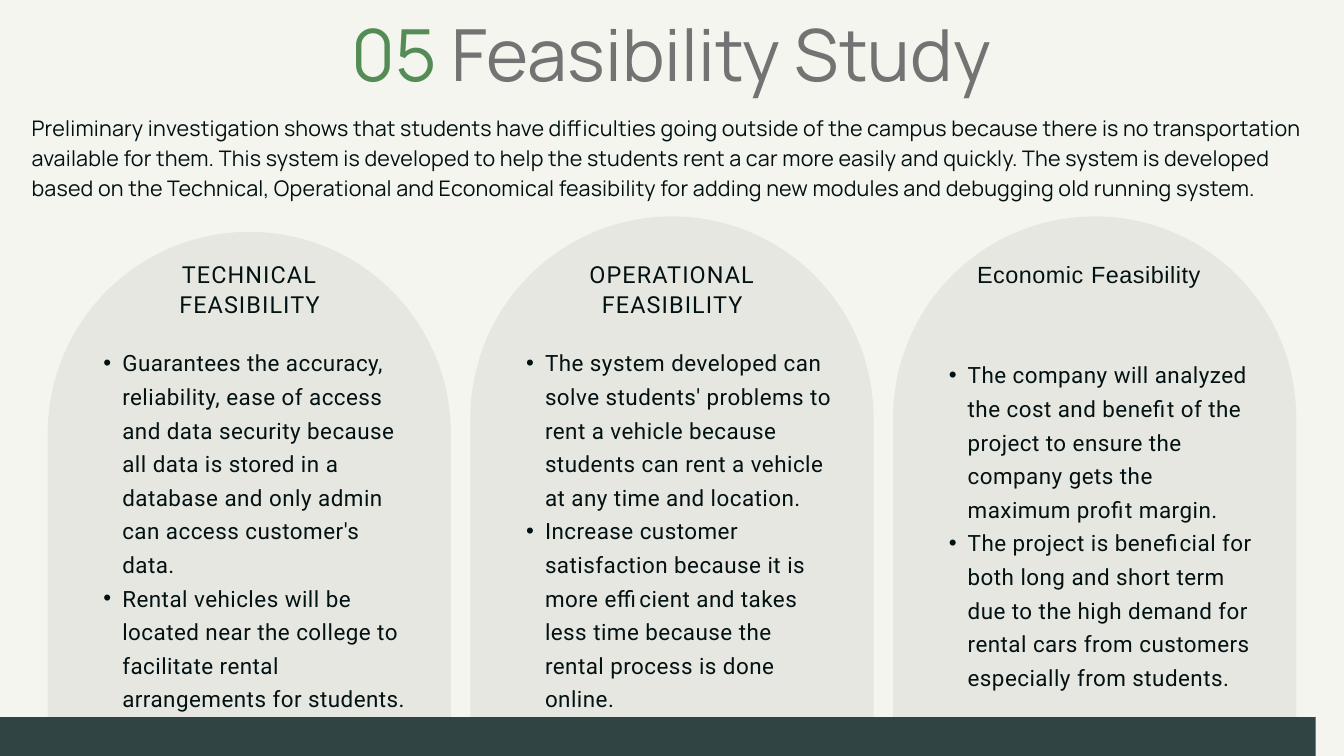
from dataclasses import dataclass

import pptx
import pptx.dml.color
import pptx.enum.shapes
import pptx.enum.text
import pptx.oxml.ns
import pptx.oxml.xmlchemy
import pptx.util

Inches = pptx.util.Inches
Pt = pptx.util.Pt
ALIGN = pptx.enum.text.PP_ALIGN
SHAPE = pptx.enum.shapes.MSO_SHAPE

INK, GREEN, GRAY = "021112", "548C55", "737373"
PAPER, BAR = "F5F5EF", "304543"
COLUMN_LEFT, COLUMN_STEP = 0.71, 6.29
ARCH_WIDTH, ARCH_HEIGHT = 6, 8.6


@dataclass
class TextStyle:
    size: float
    line: float
    spacing: float = 0
    font: str = "Roboto"
    color: str = INK
    align: ALIGN = ALIGN.LEFT


@dataclass
class Column:
    heading: str
    heading_style: TextStyle
    heading_left: float
    arch_top: float
    list_top: float
    list_height: float
    placeholder: int
    items: list[str]


TITLE = TextStyle(77, 80.9, font="Manrope", color=GRAY, align=ALIGN.CENTER)
INTRO = TextStyle(23, 32.2, 0.2, "Manrope")
LIST = TextStyle(24, 36, 0.5)
HEADING = TextStyle(25.1, 32.6, 1.2, align=ALIGN.CENTER)
ARIAL_HEADING = TextStyle(25.1, 32.6, 0.6, "Arial", align=ALIGN.CENTER)

INTRO_TEXT = (
    "Preliminary investigation shows that students have difficulties going outside of the "
    "campus because there is no transportation available for them. This system is developed "
    "to help the students rent a car more easily and quickly. The system is developed based "
    "on the Technical, Operational and Economical feasibility for adding new modules and "
    "debugging old running system."
)
COLUMNS = [
    Column("TECHNICAL FEASIBILITY", HEADING, 1.88, 3.45, 5.1, 5.33, 2, [
        "Guarantees the accuracy, reliability, ease of access and data security because all "
        "data is stored in a database and only admin can access customer's data.",
        "Rental vehicles will be located near the college to facilitate rental arrangements "
        "for students.",
    ]),
    Column("OPERATIONAL FEASIBILITY", HEADING, 8.17, 3.22, 5.1, 5.33, 3, [
        "The system developed can solve students' problems to rent a vehicle because "
        "students can rent a vehicle at any time and location.",
        "Increase customer satisfaction because it is more efficient and takes less time "
        "because the rental process is done online.",
    ]),
    Column("Economic Feasibility", ARIAL_HEADING, 14.37, 3.22, 5.28, 4.84, 4, [
        "The company will analyzed the cost and benefit of the project to ensure the company "
        "gets the maximum profit margin.",
        "The project is beneficial for both long and short term due to the high demand for "
        "rental cars from customers especially from students.",
    ]),
]


def rgb(color: str) -> pptx.dml.color.RGBColor:
    return pptx.dml.color.RGBColor.from_string(color)


def draw_shape(page, kind, left, top, width, height, color: str, opacity: int = 100):
    shape = page.shapes.add_shape(kind, Inches(left), Inches(top), Inches(width), Inches(height))
    shape.shadow.inherit = False
    shape.line.fill.background()
    shape.fill.solid()
    shape.fill.fore_color.rgb = rgb(color)
    if opacity < 100:
        fill_color = shape.element.spPr.find(".//" + pptx.oxml.ns.qn("a:srgbClr"))
        alpha = pptx.oxml.xmlchemy.OxmlElement("a:alpha")
        alpha.set("val", str(opacity * 1000))
        fill_color.append(alpha)
    return shape


def place(box, left: float, top: float, width: float, height: float) -> None:
    box.left, box.top = Inches(left), Inches(top)
    box.width, box.height = Inches(width), Inches(height)


def add_bullet(para) -> None:
    properties = para._p.get_or_add_pPr()
    properties.set("marL", str(Inches(0.57)))
    properties.set("indent", str(Inches(-0.28)))
    for tag, name, value in (("a:buFont", "typeface", "Arial"), ("a:buChar", "char", "•")):
        bullet = pptx.oxml.xmlchemy.OxmlElement(tag)
        bullet.set(name, value)
        properties.append(bullet)


def write(box, text: str, style: TextStyle, bullets: bool = False) -> None:
    frame = box.text_frame
    frame.text = text
    frame.word_wrap = True
    frame.auto_size = pptx.enum.text.MSO_AUTO_SIZE.NONE
    frame.vertical_anchor = pptx.enum.text.MSO_ANCHOR.TOP
    frame.margin_left = frame.margin_right = frame.margin_top = frame.margin_bottom = 0
    for para in frame.paragraphs:
        if bullets:
            add_bullet(para)
        para.alignment = style.align
        para.line_spacing = Pt(style.line)
        para.space_before = para.space_after = Pt(0)
        for span in para.runs:
            format_span(span, style)


def format_span(span, style: TextStyle) -> None:
    span.font.size = Pt(style.size)
    span.font.name = style.font
    span.font.bold = False
    span.font.color.rgb = rgb(style.color)
    span.font._element.set("spc", str(round(style.spacing * 100)))


def draw_column(page, index: int, column: Column) -> None:
    left = COLUMN_LEFT + index * COLUMN_STEP
    arch = draw_shape(page, SHAPE.ROUND_2_SAME_RECTANGLE, left, column.arch_top,
                      ARCH_WIDTH, ARCH_HEIGHT, GRAY, opacity=10)
    arch.adjustments[0] = 0.5
    arch.adjustments[1] = 0
    heading = page.shapes.add_textbox(Inches(column.heading_left), Inches(3.83),
                                      Inches(3.67), Inches(0.89))
    write(heading, column.heading, column.heading_style)
    body = page.placeholders[column.placeholder]
    place(body, left + 0.54, column.list_top, 4.92, column.list_height)
    write(body, "\n".join(column.items), LIST, bullets=True)


def main() -> None:
    deck = pptx.Presentation()
    deck.slide_width, deck.slide_height = Inches(20), Inches(11.25)
    comparison = deck.slide_layouts[4]  # a title and four body placeholders
    page = deck.slides.add_slide(comparison)
    page.background.fill.solid()
    page.background.fill.fore_color.rgb = rgb(PAPER)

    for index, column in enumerate(COLUMNS):
        draw_column(page, index, column)
    draw_shape(page, SHAPE.RECTANGLE, -0.42, 10.67, 20, 1.77, BAR)

    intro = page.placeholders[1]
    place(intro, 0.47, 1.65, 19.05, 1.31)
    write(intro, INTRO_TEXT, INTRO)

    title = page.shapes.title
    place(title, 4.3, 0.31, 11.39, 1.15)
    write(title, "05 ", TITLE)
    para = title.text_frame.paragraphs[0]
    para.runs[0].font.color.rgb = rgb(GREEN)
    span = para.add_run()
    span.text = "Feasibility Study"
    format_span(span, TITLE)

    # Bring the placeholders in front of the translucent arches.
    for box in list(page.placeholders):
        box.element.getparent().append(box.element)
    deck.save("out.pptx")


if __name__ == "__main__":
    main()
